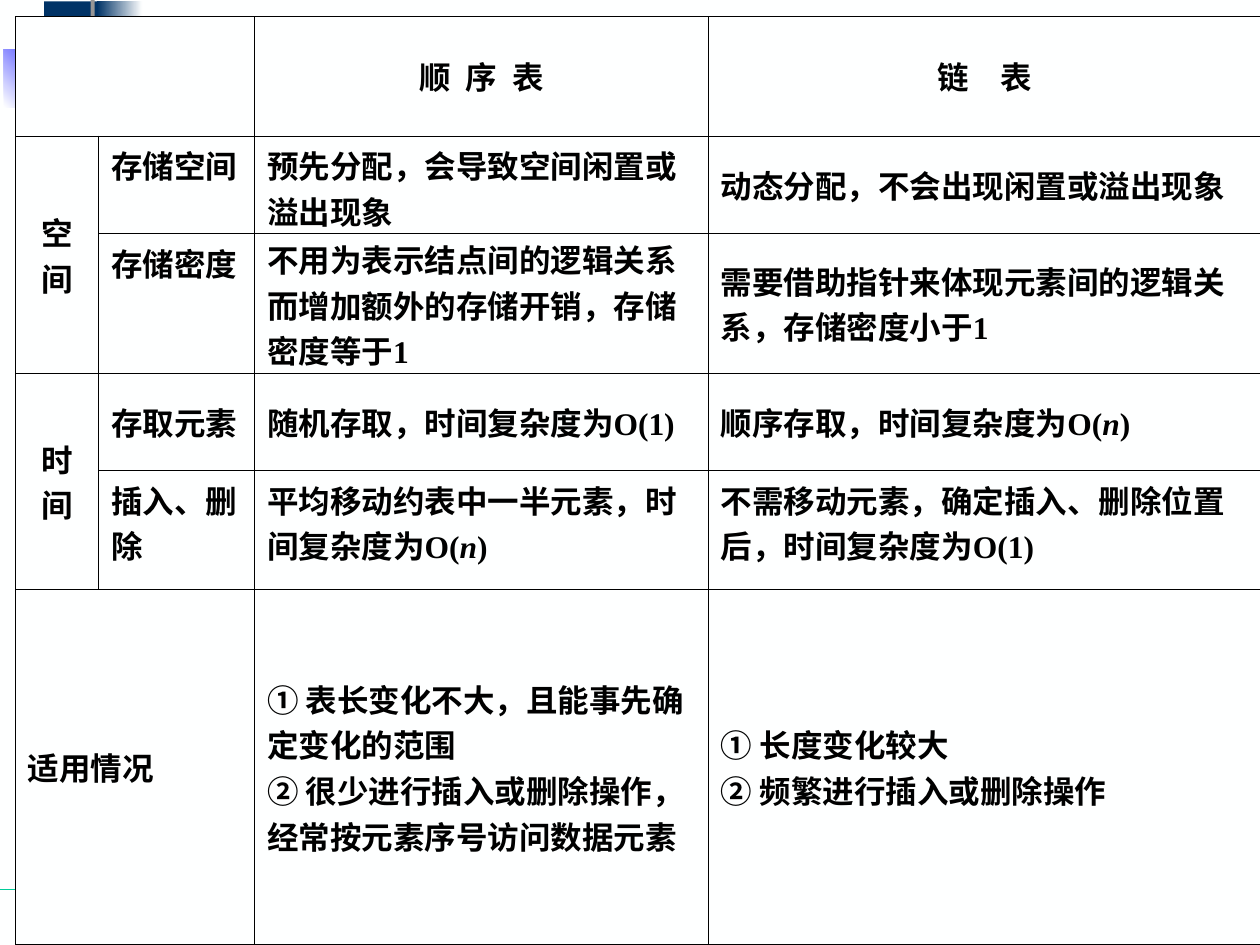
from lxml import etree
from pptx import Presentation
from pptx.dml.color import RGBColor
from pptx.enum.lang import MSO_LANGUAGE_ID
from pptx.enum.shapes import MSO_CONNECTOR, MSO_SHAPE
from pptx.enum.text import MSO_ANCHOR, PP_ALIGN
from pptx.oxml.ns import qn
from pptx.util import Cm, Pt

RECT = MSO_SHAPE.RECTANGLE
LINE = MSO_CONNECTOR.STRAIGHT
TOP, MID = MSO_ANCHOR.TOP, MSO_ANCHOR.MIDDLE
LEFT, CENTER = PP_ALIGN.LEFT, PP_ALIGN.CENTER
CHINESE = MSO_LANGUAGE_ID.SIMPLIFIED_CHINESE
FONT = "Times New Roman"
COLORS = {
    "paper": "FEFFFF", "ink": "000000", "navy": "003366", "blue": "3333CC",
    "bright": "0000FF", "gray": "969696", "green": "00CC99",
}
COLS = [1.68, 3.14, 9.15, 11.14]
ROWS = [2.41, 1.96, 2.82, 1.96, 2.41, 7.14]
SPANS = [(0, 0, 0, 1), (1, 0, 2, 0), (3, 0, 4, 0), (5, 0, 5, 1)]
TIGHT = [(1, 2, 0.12), (2, 2, 0.05)]
BARS = [
    (0.89, 0.03, 1.22, 1.32, "navy", None, 0),
    (1.96, 0.03, 0.91, 1.32, "navy", "paper", 0),
    (1.22, 1.19, 1.17, 1.32, "blue", None, 0),
    (2.26, 1.19, 1.02, 1.32, "blue", "paper", 0),
    (0.08, 0.99, 1.55, 1.17, "paper", "bright", 45),
    (1.83, -0.28, 0.08, 2.92, "gray", None, 0),
    (0.97, 2.01, 24.16, 0.15, "gray", "paper", 0),
]
CELLS = [
    (0, 2, CENTER, MID, ["顺 序 表"], 2.25),
    (0, 3, CENTER, MID, ["链 表"], 6.75),
    (1, 0, CENTER, MID, ["空间"], 0),
    (1, 1, LEFT, TOP, ["存储空间"], 0),
    (1, 2, LEFT, MID, ["预先分配，会导致空间闲置或溢出现象"], 0),
    (1, 3, LEFT, MID, ["动态分配，不会出现闲置或溢出现象"], 0),
    (2, 1, LEFT, TOP, ["存储密度"], 0),
    (2, 2, LEFT, MID, ["不用为表示结点间的逻辑关系而增加额外的存储开销，存储密度等于1"], 0),
    (2, 3, LEFT, MID, ["需要借助指针来体现元素间的逻辑关系，存储密度小于1"], 0),
    (3, 0, CENTER, MID, ["时间"], 0),
    (3, 1, LEFT, MID, ["存取元素"], 0),
    (3, 2, LEFT, MID, ["随机存取，时间复杂度为O(1)"], 0),
    (3, 3, LEFT, MID, ["顺序存取，时间复杂度为O(*n*)"], 0),
    (4, 1, LEFT, TOP, ["插入、删除"], 0),
    (4, 2, LEFT, TOP, ["平均移动约表中一半元素，时间复杂度为O(*n*)"], 0),
    (4, 3, LEFT, TOP, ["不需移动元素，确定插入、删除位置后，时间复杂度为O(1)"], 0),
    (5, 0, LEFT, MID, ["适用情况"], 0),
    (5, 2, LEFT, MID, ["① 表长变化不大，且能事先确定变化的范围",
                       "② 很少进行插入或删除操作，经常按元素序号访问数据元素"], 0),
    (5, 3, LEFT, MID, ["① 长度变化较大", "② 频繁进行插入或删除操作"], 0),
]


def rgb(name):
    return RGBColor.from_string(COLORS[name])


def paint(fill, name):
    fill.solid()
    fill.fore_color.rgb = rgb(name)


def add_bar(slide, x, y, wide, high, first, last, angle):
    bar = slide.shapes.add_shape(RECT, Cm(x), Cm(y), Cm(wide), Cm(high))
    bar.shadow.inherit = False
    bar.line.fill.background()
    if last is None:
        paint(bar.fill, first)
        return
    bar.fill.gradient()
    bar.fill.gradient_angle = angle
    for stop, name in zip(bar.fill.gradient_stops, (first, last)):
        stop.color.rgb = rgb(name)


def add_decor(slide, x, y, wide):
    level = Cm(y + 17.93)
    rule = slide.shapes.add_connector(LINE, Cm(x), level, Cm(x + wide), level)
    rule.line.color.rgb = rgb("green")
    rule.line.width = Pt(0.75)
    etree.SubElement(rule.element.spPr, qn("a:effectLst"))
    for left, top, *rest in BARS:
        add_bar(slide, x + left, y + top, *rest)


def add_edges(cell):
    props = cell._tc.get_or_add_tcPr()
    for side in "LRTB":
        edge = etree.SubElement(props, qn(f"a:ln{side}"), w=str(Pt(0.45)))
        fill = etree.SubElement(edge, qn("a:solidFill"))
        etree.SubElement(fill, qn("a:srgbClr"), val=COLORS["ink"])


def add_text(cell, align, anchor, lines, gap):
    cell.vertical_anchor = anchor
    frame = cell.text_frame
    for index, line in enumerate(lines):
        para = frame.add_paragraph() if index else frame.paragraphs[0]
        para.alignment = align
        for part, words in enumerate(line.split("*")):
            run = para.add_run()
            run.text = words
            font = run.font
            font.name, font.size, font.bold = FONT, Pt(18), True
            font.italic = part % 2 == 1
            font.color.rgb = rgb("ink")
            font.language_id = CHINESE
            if gap:
                run._r.get_or_add_rPr().set("spc", str(int(gap * 100)))


def add_grid(slide, x, y):
    frame = slide.shapes.add_table(len(ROWS), len(COLS), Cm(x), Cm(y),
                                   Cm(sum(COLS)), Cm(sum(ROWS)))
    table = frame.table
    table.first_row = table.horz_banding = False
    for col, wide in zip(table.columns, COLS):
        col.width = Cm(wide)
    for row, high in zip(table.rows, ROWS):
        row.height = Cm(high)
    for cell in table.iter_cells():
        add_edges(cell)
        paint(cell.fill, "paper")
    for top, left, low, right in SPANS:
        table.cell(top, left).merge(table.cell(low, right))
    for row, col, *rest in CELLS:
        add_text(table.cell(row, col), *rest)
    for row, col, inset in TIGHT:
        cell = table.cell(row, col)
        cell.margin_top, cell.margin_bottom = Cm(inset), Cm(0)


def main():
    deck = Presentation()
    deck.slide_width, deck.slide_height = Cm(25.4), Cm(19.05)
    slide = deck.slides.add_slide(deck.slide_layouts[6])
    paint(slide.background.fill, "paper")
    add_decor(slide, 0, 0, 25.4)
    add_grid(slide, 0.31, 0.33)
    deck.save("out.pptx")


if __name__ == "__main__":
    main()
